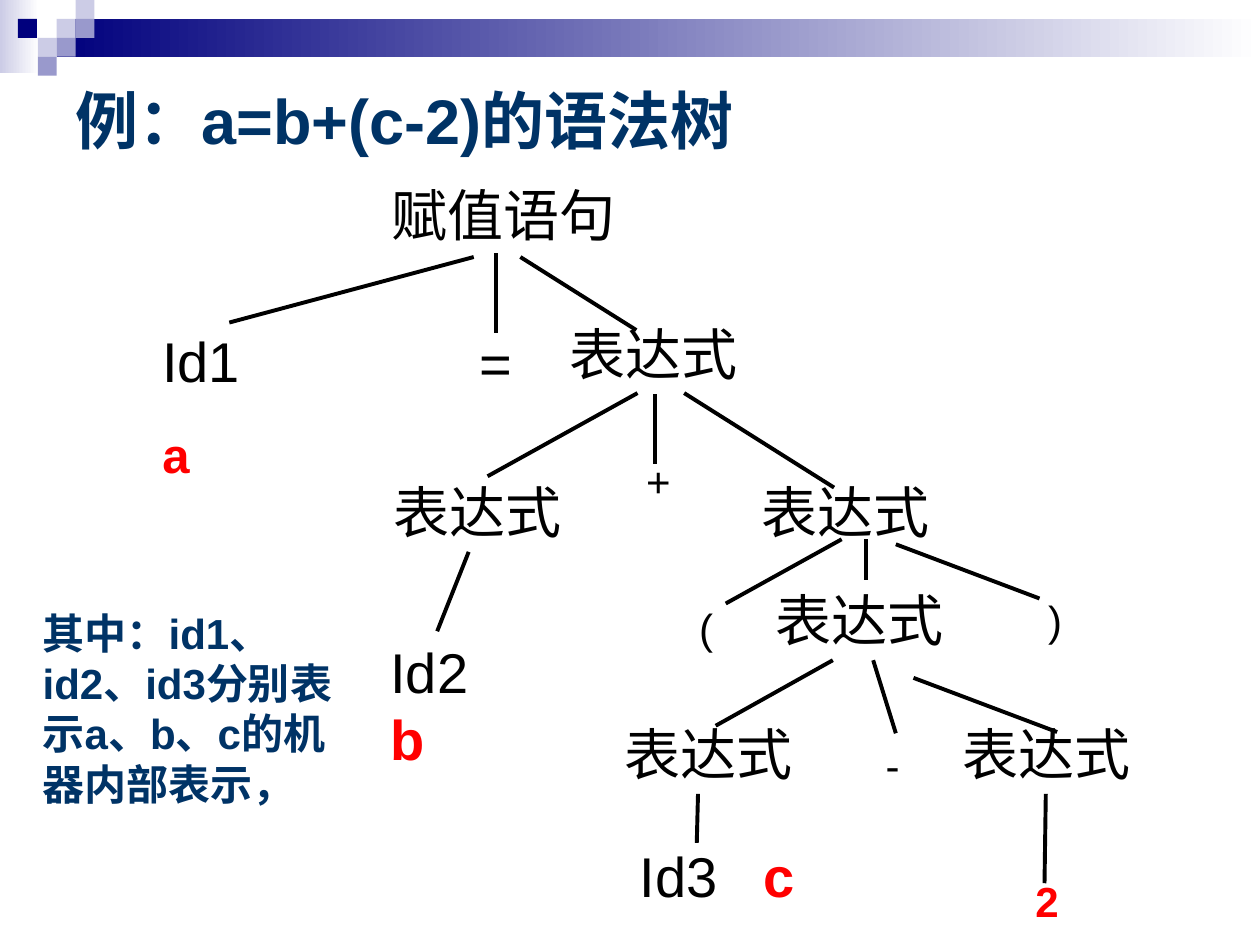
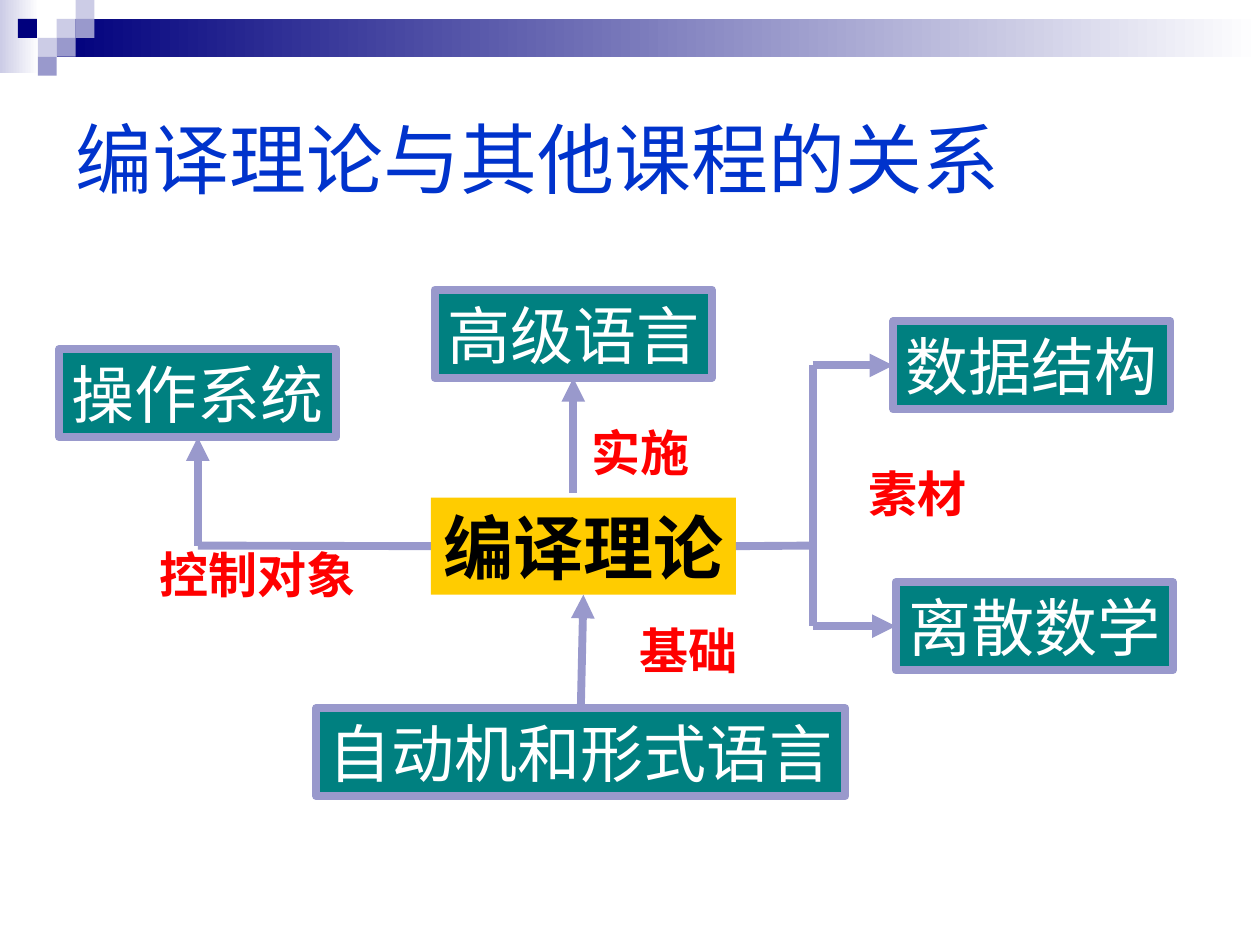
import pptx
import pptx.util
import pptx.dml.color
import pptx.enum.shapes
import pptx.enum.text
import pptx.oxml
import pptx.oxml.ns
from dataclasses import dataclass

Inches = pptx.util.Inches
ANCHOR = pptx.enum.text.MSO_ANCHOR
ALIGN = pptx.enum.text.PP_ALIGN


@dataclass(frozen=True)
class Theme:
    navy: str = "00007D"
    lilac: str = "9999CC"
    pale: str = "CCCCE6"
    white: str = "FFFFFF"
    black: str = "000000"
    red: str = "FF0000"
    ink: str = "003366"
    blue: str = "0033CC"
    teal: str = "008080"
    gold: str = "FFCC00"
    latin: str = "Arial"
    chinese: str = "Noto Sans CJK SC"
    thin: float = 2.25
    thick: float = 4.5

    def style(self, size, color, bold=False, face=None):
        return {"size": pptx.util.Pt(size), "bold": bold,
                "name": face or self.latin, "color": color}


THEME = Theme()
NODE = THEME.style(32, THEME.black)
SYMBOL = THEME.style(24, THEME.black)
VALUE = THEME.style(32, THEME.red, True)
SMALL_VALUE = THEME.style(28, THEME.red, True)
LEAF = THEME.style(24, THEME.red, True)
NOTE = THEME.style(24, THEME.ink, True)
EXAMPLE_TITLE = THEME.style(36, THEME.ink, True)
EXAMPLE_TITLE_CHINESE = THEME.style(36, THEME.ink, True, THEME.chinese)
TOPIC_TITLE = THEME.style(44, THEME.blue)
COURSE = THEME.style(36, THEME.white, False, THEME.chinese)
CENTRE = THEME.style(40, THEME.black, True, THEME.chinese)
RELATION = THEME.style(28, THEME.red, True, THEME.chinese)


def rgb(color):
    return pptx.dml.color.RGBColor.from_string(color)


def add_xml(parent, tag, **attributes):
    child = pptx.oxml.parse_xml(f"<a:{tag} {pptx.oxml.ns.nsdecls('a')}/>")
    for name, value in attributes.items():
        child.set(name, str(value))
    parent.append(child)
    return child


class Deck:
    def __init__(self):
        self.deck = pptx.Presentation()
        self.deck.slide_width, self.deck.slide_height = Inches(10), Inches(7.5)
        self.page = None

    def new_page(self):
        self.page = self.deck.slides.add_slide(self.deck.slide_layouts[5])

    def fill_text(self, box, paragraphs, align=ALIGN.LEFT, anchor=ANCHOR.TOP,
                  wrap=True, gap=0, tab=None):
        """Each paragraph is a list of (words, style) spans."""
        frame = box.text_frame
        settings = {"word_wrap": wrap, "vertical_anchor": anchor,
                    "auto_size": pptx.enum.text.MSO_AUTO_SIZE.NONE}
        for name, value in settings.items():
            setattr(frame, name, value)
        for index, spans in enumerate(paragraphs):
            para = frame.add_paragraph() if index else frame.paragraphs[0]
            if tab:
                stops = add_xml(para._p.get_or_add_pPr(), "tabLst")
                add_xml(stops, "tab", pos=Inches(tab), algn="l")
            para.alignment = align
            para.space_before = pptx.util.Pt(gap if index else 0)
            for words, style in spans:
                span = para.add_run()
                span.text = words
                for name, value in style.items():
                    if name == "color":
                        span.font.color.rgb = rgb(value)
                    else:
                        setattr(span.font, name, value)
                add_xml(span._r.get_or_add_rPr(), "ea", typeface=THEME.chinese)

    def title(self, top, spans):
        box = self.page.shapes.title
        place = {"left": 0.5, "top": top, "width": 9, "height": 1.5}
        for name, value in place.items():
            setattr(box, name, Inches(value))
        self.fill_text(box, [spans], anchor=ANCHOR.MIDDLE)

    def text(self, left, top, width, height, paragraphs, **layout):
        box = self.page.shapes.add_textbox(*map(Inches, (left, top, width, height)))
        self.fill_text(box, paragraphs, **layout)

    def label(self, left, top, width, height, words, style, anchor=ANCHOR.TOP):
        self.text(left, top, width, height, [[(words, style)]],
                  align=ALIGN.CENTER, anchor=anchor, wrap=False)

    def rectangle(self, left, top, width, height, fill, fade=None, line=None):
        box = self.page.shapes.add_shape(
            pptx.enum.shapes.MSO_SHAPE.RECTANGLE,
            *map(Inches, (left, top, width, height)))
        box.shadow.inherit = False
        if fade:
            box.fill.gradient()
            box.fill.gradient_angle = 0
            for stop, color in zip(box.fill.gradient_stops, (fill, fade)):
                stop.color.rgb = rgb(color)
        else:
            box.fill.solid()
            box.fill.fore_color.rgb = rgb(fill)
        if line:
            box.line.color.rgb = rgb(line)
            box.line.width = pptx.util.Pt(THEME.thick)
        else:
            box.line.fill.background()
        return box

    def block(self, left, top, width, height, words, style, fill, line=None):
        box = self.rectangle(left, top, width, height, fill, line=line)
        self.fill_text(box, [[(words, style)]], align=ALIGN.CENTER,
                       anchor=ANCHOR.MIDDLE, wrap=False)
        return box

    def line(self, start, end, color, width, arrow=False):
        """An end is an (x, y) point or a (box, side) pair."""
        ends = (start, end)
        joined = [not isinstance(spot[0], (int, float)) for spot in ends]
        points = [(0, 0) if join else spot for spot, join in zip(ends, joined)]
        link = self.page.shapes.add_connector(
            pptx.enum.shapes.MSO_CONNECTOR.STRAIGHT,
            *(Inches(value) for point in points for value in point))
        for spot, join, connect in zip(ends, joined,
                                       (link.begin_connect, link.end_connect)):
            if join:
                connect(*spot)
        link.line.color.rgb = rgb(color)
        link.line.width = pptx.util.Pt(width)
        if arrow:
            add_xml(link.line._get_or_add_ln(), "tailEnd", type="triangle")
        add_xml(link._element.spPr, "effectLst")

    def master_band(self):
        """Draw the top band and move it to the master, behind everything."""
        parts = [self.rectangle(0, 0, 0.31, 0.58, THEME.pale, THEME.white),
                 self.rectangle(0.45, 0.15, 9.55, 0.3, THEME.navy, THEME.white)]
        tile = 0.15
        for column, row, color in ((3, 1, THEME.pale), (4, 0, THEME.pale),
                                   (4, 1, THEME.lilac), (2, 2, THEME.pale),
                                   (0.95, 1, THEME.navy), (3, 2, THEME.lilac),
                                   (2, 3, THEME.lilac)):
            parts.append(self.rectangle(column * tile, row * tile, tile, tile, color))
        tree = self.deck.slide_master.shapes.element
        for index, part in enumerate(parts):
            tree.insert(2 + index, part.element)


def syntax_tree(show):
    show.new_page()
    show.master_band()
    show.title(0.2, [("例：", EXAMPLE_TITLE_CHINESE), ("a=b+(c-2)", EXAMPLE_TITLE),
                     ("的语法树", EXAMPLE_TITLE_CHINESE)])

    # Inner nodes
    show.label(3.01, 1.38, 1.98, 0.64, "赋值语句", NODE)
    for left, top in ((4.42, 2.49), (3.03, 3.74), (5.95, 3.74),
                      (6.06, 4.6), (4.86, 5.66), (7.54, 5.66)):
        show.label(left, top, 1.53, 0.64, "表达式", NODE)

    # Operators and the constant
    for left, top, words, style in ((3.71, 2.56, "=", NODE), (5.03, 3.57, "+", SYMBOL),
                                    (6.93, 5.82, "-", SYMBOL), (5.45, 4.73, "(", SYMBOL),
                                    (8.22, 4.67, ")", SYMBOL), (8.12, 6.9, "2", LEAF)):
        show.text(left, top, 0.73, 0.5, [[(words, style)]])

    # Identifiers with their source names
    show.text(1.19, 2.54, 2.27, 1.35, [[("Id1", NODE)], [("a", SMALL_VALUE)]], gap=17.5)
    show.text(3, 5.01, 2.13, 1.17, [[("Id2", NODE)], [("b", VALUE)]])
    show.text(4.98, 6.63, 1.89, 0.64, [[("Id3\t", NODE), ("c", VALUE)]], tab=0.98)
    show.text(0.24, 4.77, 2.52, 2.1,
              [[("其中：id1、id2、id3分别表示a、b、c的机器内部表示，", NOTE)]])

    # Branches, level by level
    for start, end in (
            ((3.76, 2.04), (1.82, 2.56)), ((3.94, 2.01), (3.94, 2.64)),
            ((4.13, 2.04), (5.05, 2.62)),
            ((5.06, 3.12), (3.87, 3.78)), ((5.2, 3.13), (5.2, 3.68)),
            ((5.43, 3.12), (6.62, 3.87)),
            ((3.72, 4.38), (3.47, 5.01)), ((6.68, 4.28), (5.76, 4.79)),
            ((6.87, 4.28), (6.87, 4.6)), ((7.11, 4.32), (8.25, 4.75)),
            ((6.61, 5.24), (5.68, 5.76)), ((6.93, 5.24), (7.11, 5.82)),
            ((7.25, 5.38), (8.39, 5.81)),
            ((5.54, 6.3), (5.53, 6.69)), ((8.3, 6.3), (8.29, 7.01))):
        show.line(start, end, THEME.black, THEME.thin)


def related_courses(show):
    show.new_page()
    show.title(0.5, [("编译理论与其他课程的关系", TOPIC_TITLE)])

    # Courses
    theory = show.block(3.42, 3.95, 2.42, 0.77, "编译理论", CENTRE, THEME.gold)
    automata, discrete, structures, systems, languages = [
        show.block(left, top, width, 0.7, words, COURSE, THEME.teal, THEME.lilac)
        for left, top, width, words in (
            (2.51, 5.62, 4.2, "自动机和形式语言"), (7.11, 4.62, 2.2, "离散数学"),
            (7.09, 2.55, 2.2, "数据结构"), (0.47, 2.77, 2.2, "操作系统"),
            (3.45, 2.3, 2.2, "高级语言"))]

    # Links: sides are 0 top, 1 left, 2 bottom, 3 right
    middle, trunk, corner = 4.33, 6.45, 1.57
    upper, lower = 2.9, 4.97
    for start, end, arrow in (
            ((automata, 0), (theory, 2), True),
            ((4.55, 3.91), (languages, 2), True),
            ((theory, 1), (corner, middle), False),
            ((corner, middle), (systems, 2), True),
            ((theory, 3), (trunk, middle), False),
            ((trunk, middle), (trunk, upper), False),
            ((trunk, upper), (structures, 1), True),
            ((trunk, middle), (trunk, lower), False),
            ((trunk, lower), (discrete, 1), True)):
        show.line(start, end, THEME.lilac, THEME.thick, arrow)

    # Relations
    for left, top, width, words in ((6.8, 3.63, 0.97, "素材"), (4.98, 4.87, 0.97, "基础"),
                                    (1.17, 4.27, 1.75, "控制对象"), (4.6, 3.3, 0.97, "实施")):
        show.label(left, top, width, 0.57, words, RELATION, ANCHOR.MIDDLE)


def main():
    show = Deck()
    syntax_tree(show)
    related_courses(show)
    show.deck.save("out.pptx")


if __name__ == "__main__":
    main()
